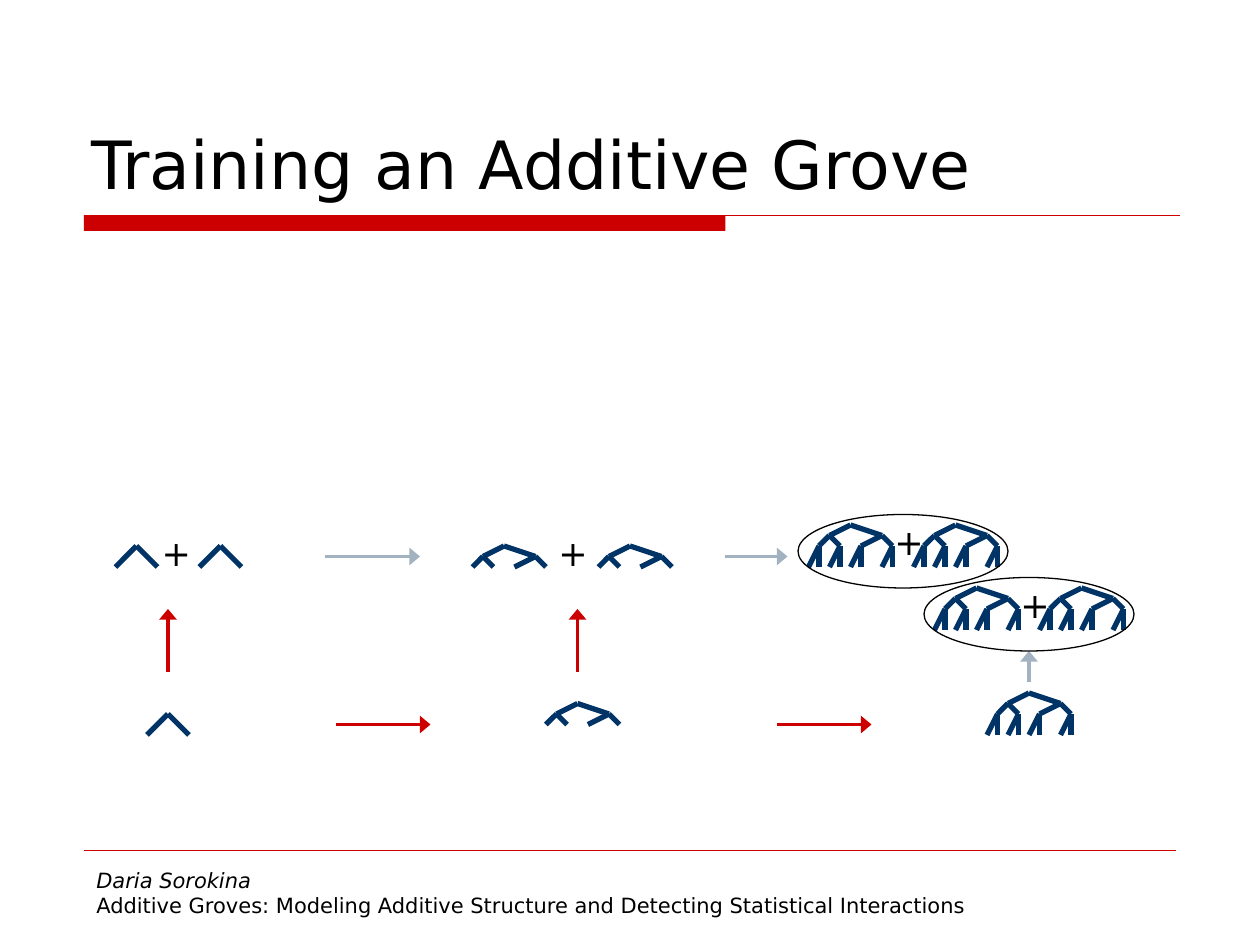
from dataclasses import dataclass

from lxml.etree import SubElement
from pptx import Presentation
from pptx.dml.color import RGBColor as RGB
from pptx.enum.shapes import MSO_CONNECTOR as CONN, MSO_SHAPE as SHAPE
from pptx.enum.text import MSO_ANCHOR as ANCHOR, MSO_AUTO_SIZE as AUTOSIZE, PP_ALIGN as ALIGN
from pptx.oxml.ns import qn
from pptx.util import Pt

PX = 7620  # EMU per px, 120 px to the inch


@dataclass(frozen=True)
class Theme:
    font: str = "DejaVu Sans"
    red: RGB = RGB(0xCC, 0x00, 0x00)
    navy: RGB = RGB(0x00, 0x33, 0x66)
    grey: RGB = RGB(0xA3, 0xB2, 0xC1)
    black: RGB = RGB(0x00, 0x00, 0x00)
    title: int = 38
    plus: int = 20
    footer: int = 12


theme = Theme()
prs = Presentation()
prs.slide_width, prs.slide_height = 1200 * PX, 900 * PX
s = prs.slides.add_slide(prs.slide_layouts[5])


def add_line(start, end, color, width, arrow=False):
    """Draw a straight line between two (x, y) points in px."""
    x1, y1, x2, y2 = (v * PX for v in (*start, *end))
    line = s.shapes.add_connector(CONN.STRAIGHT, x1, y1, x2, y2)
    line.line.color.rgb = color
    line.line.width = Pt(width)
    if arrow:
        ln = line.line._get_or_add_ln()
        SubElement(ln, qn("a:tailEnd"), type="triangle", w="lg", len="med")
    SubElement(line._element.spPr, qn("a:effectLst"))


def set_text(tf, lines, size):
    """Fill a text frame with lines of (text, italic)."""
    tf.word_wrap = True
    for i, (text, italic) in enumerate(lines):
        p = tf.paragraphs[0] if i == 0 else tf.add_paragraph()
        p.text = text
        p.alignment = ALIGN.LEFT
        p.font.name = theme.font
        p.font.size = Pt(size)
        p.font.italic = italic
        p.font.color.rgb = theme.black


# Title and the rule below it
title = s.shapes.title
title.left, title.top, title.width, title.height = (v * PX for v in (75, 40, 1050, 159))
title.text_frame.auto_size = AUTOSIZE.NONE
title.text_frame.vertical_anchor = ANCHOR.BOTTOM
set_text(title.text_frame, [("Training an Additive Grove", False)], theme.title)

bar = s.shapes.add_shape(SHAPE.RECTANGLE, 80 * PX, 205 * PX, 611 * PX, 15 * PX)
bar.shadow.inherit = False
bar.fill.solid()
bar.fill.fore_color.rgb = theme.red
bar.line.fill.background()
add_line((80, 205), (1124, 205), theme.red, 0.75)

# Footer
add_line((80, 810), (1120, 810), theme.red, 0.25)
footer = s.shapes.add_textbox(80 * PX, 820 * PX, 960 * PX, 62 * PX)
set_text(footer.text_frame, [
    ("Daria Sorokina", True),
    ("Additive Groves: Modeling Additive Structure and Detecting Statistical Interactions", False),
], theme.footer)

# Trees: edges are offsets from the root
stump = [((0, 0), (-20, 20)), ((0, 0), (20, 20))]
medium_tree = [
    ((0, 0), (-20, 10)), ((0, 0), (30, 10)),
    ((-20, 10), (-30, 20)), ((-20, 10), (-10, 20)),
    ((30, 10), (10, 20)), ((30, 10), (40, 20)),
]
large_tree = medium_tree + [
    ((x, 20), (x - dx, 40)) for x in (-30, -10, 10, 40) for dx in (10, 0)
]
trees = [
    (stump, [(130, 520), (210, 520), (160, 680)]),
    (medium_tree, [(480, 520), (600, 520), (550, 670)]),
    (large_tree, [(810, 500), (910, 500), (930, 560), (1030, 560), (980, 660)]),
]
for edges, roots in trees:
    for x, y in roots:
        for (x1, y1), (x2, y2) in edges:
            add_line((x + x1, y + y1), (x + x2, y + y2), theme.navy, 3)

for x, y, width in [(142, 500, 42), (520, 500, 50), (840, 490, 50), (960, 550, 50)]:
    plus = s.shapes.add_textbox(x * PX, y * PX, width * PX, 53 * PX)
    set_text(plus.text_frame, [("+", False)], theme.plus)

# Training steps
arrows = [
    ((310, 530), (400, 530), theme.grey),
    ((690, 530), (750, 530), theme.grey),
    ((980, 650), (980, 620), theme.grey),
    ((320, 690), (410, 690), theme.red),
    ((740, 690), (830, 690), theme.red),
    ((160, 640), (160, 580), theme.red),
    ((550, 640), (550, 580), theme.red),
]
for start, end, color in arrows:
    add_line(start, end, color, 2, arrow=True)

# Candidate groves
for x, y in [(760, 490), (880, 550)]:
    grove = s.shapes.add_shape(SHAPE.OVAL, x * PX, y * PX, 200 * PX, 70 * PX)
    grove.shadow.inherit = False
    grove.fill.background()
    grove.line.color.rgb = theme.black
    grove.line.width = Pt(0.75)

prs.save("out.pptx")
